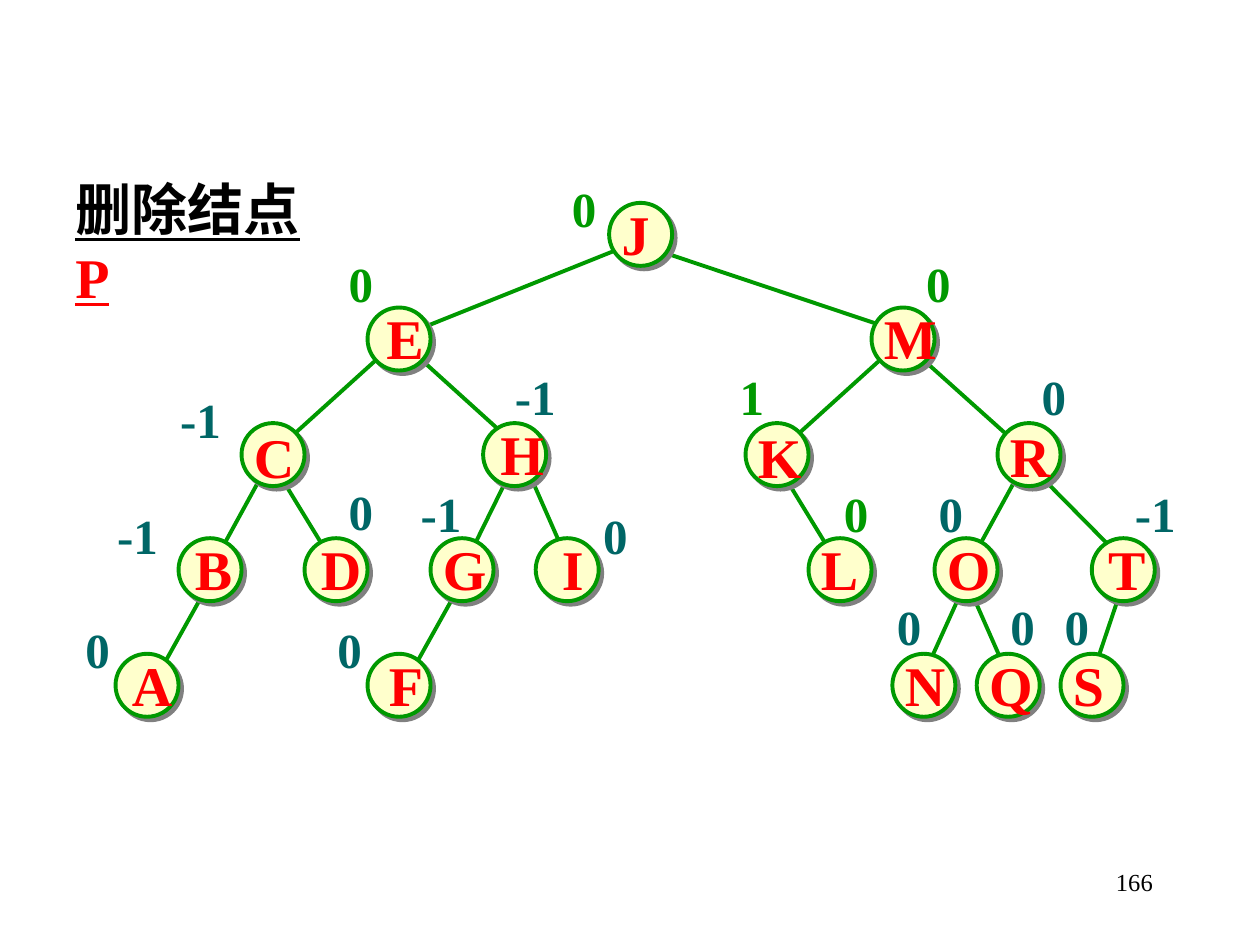
"""Build a slide showing a balanced search tree from which node P is deleted."""
from typing import NamedTuple

from lxml import etree
from pptx import Presentation
from pptx.dml.color import RGBColor
from pptx.enum.shapes import MSO_CONNECTOR, MSO_SHAPE
from pptx.enum.text import MSO_AUTO_SIZE, PP_ALIGN
from pptx.oxml.ns import qn
from pptx.util import Cm, Pt

STRAIGHT = MSO_CONNECTOR.STRAIGHT
OVAL = MSO_SHAPE.OVAL
GROW = MSO_AUTO_SIZE.SHAPE_TO_FIT_TEXT
RIGHT = PP_ALIGN.RIGHT
FONT = "Times New Roman"
GREEN, TEAL, RED, BLACK = "009900", "006666", "FF0000", "000000"
CREAM, GRAY = "FFFFCC", "808080"
DIAMETER = 1.27
LINE_WIDTH = 2.25
LEVEL_TOPS = (4.09, 6.2, 8.53, 10.85, 13.18)


class Node(NamedTuple):
    """A tree node with its letter and balance factor, lengths in centimetres."""
    letter: str
    level: int
    left: float
    letter_width: float
    balance: str
    balance_left: float
    balance_top: float
    balance_color: str = TEAL
    letter_shift: float = 0
    letter_rise: float = 0.2


class Edge(NamedTuple):
    """A line between two nodes, lengths in centimetres."""
    start_x: float
    start_y: float
    end_x: float
    end_y: float


NODES = (
    Node("A", 4, 2.33, 1.32, "0", 1.47, 12.37, letter_shift=0.08),
    Node("B", 3, 3.6, 1.27, "-1", 2.11, 10.06, letter_shift=0.08),
    Node("C", 2, 4.87, 1.32, "-1", 3.38, 7.72, letter_rise=0.13),
    Node("D", 3, 6.14, 1.32, "0", 6.78, 9.58, letter_shift=0.08),
    Node("E", 1, 7.41, 1.27, "0", 6.78, 4.98, GREEN, letter_shift=0.13),
    Node("F", 4, 7.41, 1.19, "0", 6.55, 12.37, letter_shift=0.18),
    Node("G", 3, 8.68, 1.4, "-1", 8.23, 9.63),
    Node("H", 2, 9.74, 1.4, "-1", 10.13, 7.26, letter_shift=0.1),
    Node("I", 3, 10.8, 0.97, "0", 11.91, 10.06, letter_shift=0.28),
    Node("J", 0, 12.28, 1.07, "0", 11.28, 3.48, GREEN),
    Node("K", 2, 15.03, 1.4, "1", 14.66, 7.26, GREEN, letter_rise=0.13),
    Node("L", 3, 16.3, 1.47, "0", 16.76, 9.63, GREEN),
    Node("M", 1, 17.57, 1.57, "0", 18.42, 4.98, GREEN),
    Node("N", 4, 17.99, 1.32, "0", 17.83, 11.91),
    Node("O", 3, 18.84, 1.4, "0", 18.67, 9.63),
    Node("Q", 4, 19.69, 1.4, "0", 20.12, 11.91),
    Node("R", 2, 20.11, 1.32, "0", 20.75, 7.26, letter_rise=0.15),
    Node("S", 4, 21.38, 1.14, "0", 21.21, 11.91),
    Node("T", 3, 22.01, 1.27, "-1", 22.63, 9.63, letter_shift=0.08),
)

EDGES = (
    Edge(22.66, 11.71, 22.02, 13.61),
    Edge(19.48, 11.71, 20.22, 13.39),
    Edge(20.75, 9.37, 22.43, 11.07),
    Edge(15.67, 9.37, 16.71, 11.07),
    Edge(3.18, 13.61, 4.24, 11.71),
    Edge(10.59, 9.37, 11.43, 11.28),
    Edge(9.32, 11.48, 10.36, 9.37),
    Edge(19.48, 11.48, 20.52, 9.58),
    Edge(18.62, 13.61, 19.48, 11.71),
    Edge(5.51, 9.37, 6.55, 11.07),
    Edge(10.36, 8.94, 8.26, 7.04),
    Edge(20.75, 9.17, 18.62, 7.26),
    Edge(15.88, 8.94, 17.98, 7.04),
    Edge(12.9, 4.93, 17.98, 6.63),
    Edge(8.26, 13.61, 9.32, 11.71),
    Edge(5.72, 8.94, 7.82, 7.04),
    Edge(4.24, 11.48, 5.28, 9.58),
    Edge(8.46, 6.63, 12.7, 4.93),
)


def rgb(value: str) -> RGBColor:
    """Turn a hex string into a colour."""
    return RGBColor.from_string(value)


def style_font(font, size: float, color: str, bold: bool = True) -> None:
    """Set typeface, size, weight and colour."""
    font.name = FONT
    font.size = Pt(size)
    font.bold = bold
    font.color.rgb = rgb(color)


def add_text(slide, text: str, left: float, top: float, width: float,
             height: float, size: float, color: str, wrap: bool = False,
             bold: bool = True):
    """Add a text box and return its paragraph."""
    text_frame = slide.shapes.add_textbox(
        Cm(left), Cm(top), Cm(width), Cm(height)).text_frame
    text_frame.word_wrap = wrap
    if not wrap:
        text_frame.auto_size = GROW
    text_frame.text = text
    paragraph = text_frame.paragraphs[0]
    style_font(paragraph.runs[0].font, size, color, bold)
    return paragraph


def draw_edge(slide, edge: Edge) -> None:
    """Draw one tree edge."""
    connector = slide.shapes.add_connector(STRAIGHT, *map(Cm, edge))
    connector.line.color.rgb = rgb(GREEN)
    connector.line.width = Pt(LINE_WIDTH)
    etree.SubElement(connector._element.spPr, qn("a:effectLst"))


def draw_circle(slide, node: Node) -> None:
    """Draw the circle of a node with its hard shadow."""
    shape = slide.shapes.add_shape(
        OVAL, Cm(node.left), Cm(LEVEL_TOPS[node.level]), Cm(DIAMETER), Cm(DIAMETER))
    shape.fill.solid()
    shape.fill.fore_color.rgb = rgb(CREAM)
    shape.line.color.rgb = rgb(GREEN)
    shape.line.width = Pt(LINE_WIDTH)
    shape.shadow.inherit = False
    effects = shape._element.spPr.find(qn("a:effectLst"))
    shadow = etree.SubElement(effects, qn("a:outerShdw"), blurRad="0",
                              dist=str(Pt(2.8)), dir=str(45 * 60000),
                              algn="ctr", rotWithShape="0")
    etree.SubElement(shadow, qn("a:srgbClr"), val=GRAY)


def draw_labels(slide, node: Node) -> None:
    """Write the letter and the balance factor of a node."""
    add_text(slide, node.letter, node.left + node.letter_shift,
             LEVEL_TOPS[node.level] - node.letter_rise, node.letter_width, 1.6, 32, RED)
    add_text(slide, node.balance, node.balance_left, node.balance_top,
             1.35 if len(node.balance) > 1 else 1.02, 1.45, 28, node.balance_color)


def draw_title(slide) -> None:
    """Write the underlined title with the deleted node in red."""
    paragraph = add_text(slide, "删除结点", 1.27, 3.4, 5.2, 1.6, 32, BLACK, wrap=True)
    key = paragraph.add_run()
    key.text = "P"
    style_font(key.font, 32, RED)
    for run in paragraph.runs:
        run.font.underline = True


def main() -> None:
    """Create and save the presentation."""
    presentation = Presentation()
    presentation.slide_width, presentation.slide_height = Cm(25.4), Cm(19.05)
    slide = presentation.slides.add_slide(presentation.slide_layouts[6])
    for edge in EDGES:
        draw_edge(slide, edge)
    for node in NODES:
        draw_circle(slide, node)
    for node in NODES:
        draw_labels(slide, node)
    draw_title(slide)
    page_number = add_text(slide, "166", 18.21, 17.35, 5.28, 1.27, 14, BLACK,
                           wrap=True, bold=False)
    page_number.alignment = RIGHT
    presentation.save("out.pptx")


if __name__ == "__main__":
    main()
